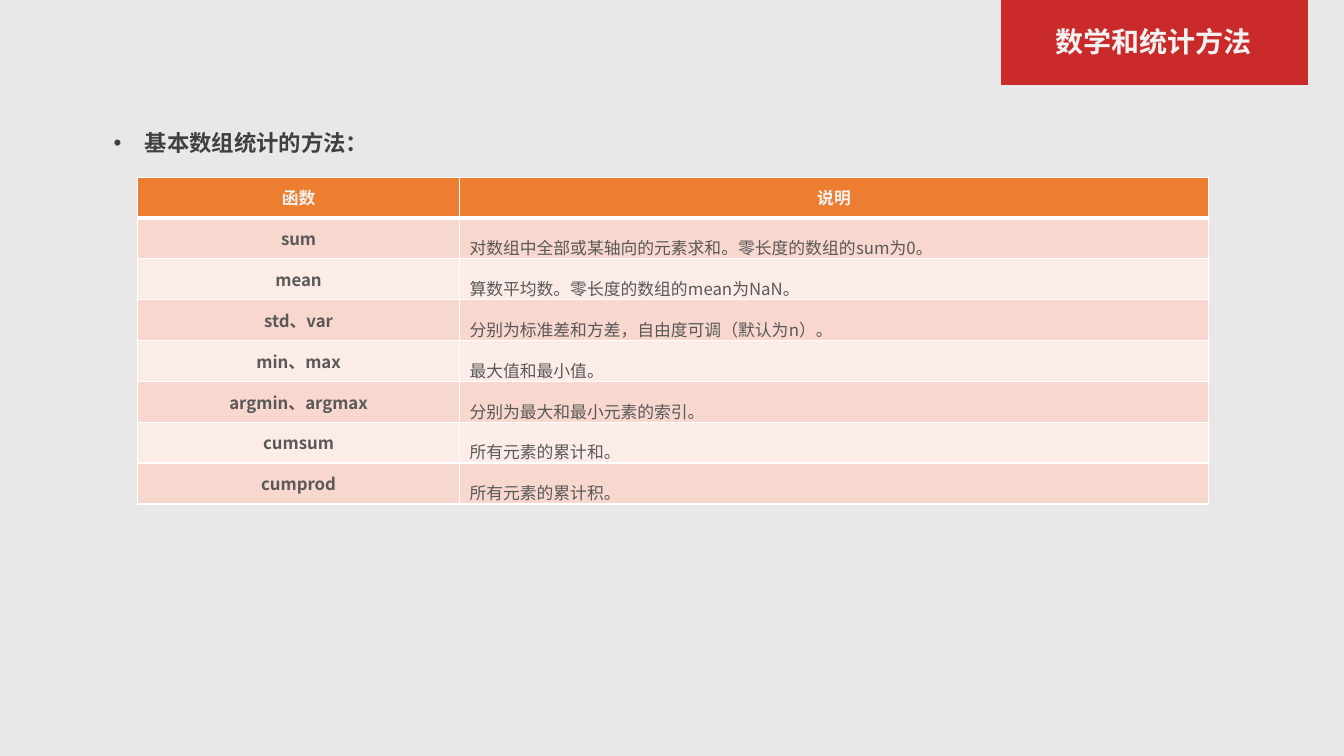
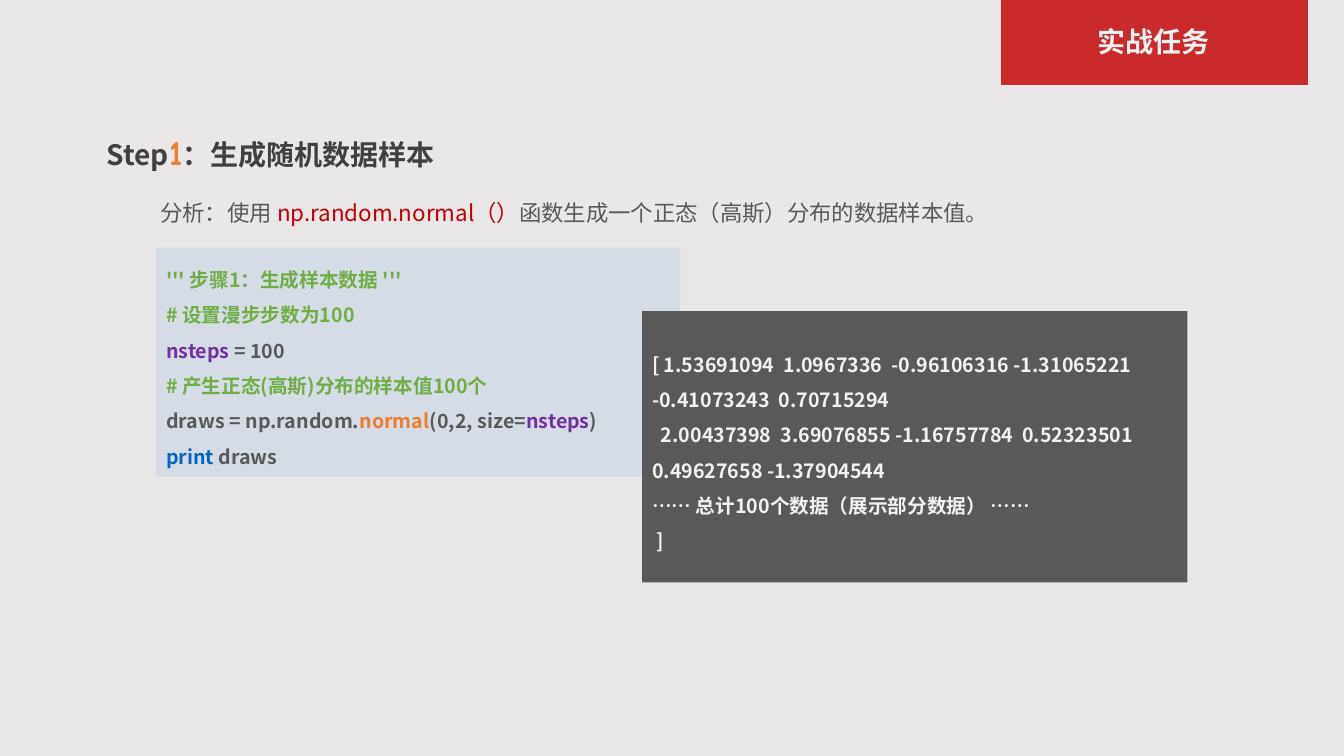
"""Build two lecture slides: array statistics methods and a practice task."""
from dataclasses import dataclass

from lxml import etree
from pptx import Presentation
from pptx import util as u
from pptx.dml.color import RGBColor
from pptx.enum import shapes, text
from pptx.oxml.ns import qn


@dataclass(frozen=True)
class Theme:
    bg: str = "E9E7E7"
    band: str = "CA2A2A"
    light: str = "F2F2F2"
    dark: str = "404040"
    body: str = "595959"
    accent: str = "ED7D31"
    alert: str = "C00000"
    comment: str = "70AD47"
    variable: str = "7030A0"
    keyword: str = "0563C1"
    code_bg: str = "D6DCE5"
    border: str = "FFFFFF"
    stripes: tuple = ("F8D7CE", "FCECE8")
    font: str = "Noto Sans CJK SC"
    digit_font: str = "Comic Neue"
    title: int = 20
    digit: int = 25
    lead: int = 16
    code: int = 14
    cell: int = 12


T = Theme()
COLS, ROWS = 32, 18


def add_run(p, content, size=T.code, color=T.body, bold=False, font=T.font):
    r = p.add_run()
    r.text = content
    f = r.font
    f.size, f.bold, f.name = u.Pt(size), bold, font
    f.color.rgb = RGBColor.from_string(color)
    etree.SubElement(r._r.get_or_add_rPr(), qn("a:ea"), typeface=font)


def paint(fill, color):
    fill.solid()
    fill.fore_color.rgb = RGBColor.from_string(color)


def add_border(cell, top, bottom):
    tcPr = cell._tc.get_or_add_tcPr()
    for side, width in (("L", 1), ("R", 1), ("T", top), ("B", bottom)):
        ln = etree.SubElement(tcPr, qn(f"a:ln{side}"), w=str(u.Pt(width)))
        solid = etree.SubElement(ln, qn("a:solidFill"))
        etree.SubElement(solid, qn("a:srgbClr"), val=T.border)


class Deck:
    def __init__(self):
        self.prs = Presentation()
        self.prs.slide_width, self.prs.slide_height = u.Inches(13.33), u.Inches(7.5)
        paint(self.prs.slide_master.background.fill, T.bg)
        self.s = None

    def x(self, cols):
        return round(self.prs.slide_width * cols / COLS)

    def y(self, rows):
        return round(self.prs.slide_height * rows / ROWS)

    def place(self, left, top, width, height):
        return self.x(left), self.y(top), self.x(width), self.y(height)

    def slide(self, title):
        self.s = self.prs.slides.add_slide(self.prs.slide_layouts[6])
        self.box((23.84, 0, 7.3, 2.02), T.band)
        self.label((23.86, 0.55, 7.2, 1.01), [(title, {"color": T.light})],
                   spacing=0.9, before=10, align=text.PP_ALIGN.CENTER,
                   size=T.title, bold=True)

    def set_lines(self, tf, lines, spacing=1.5, before=0, align=text.PP_ALIGN.LEFT, **style):
        tf.word_wrap = True
        for i, line in enumerate(lines):
            p = tf.add_paragraph() if i else tf.paragraphs[0]
            p.alignment, p.line_spacing = align, spacing
            p.space_before = u.Pt(before)
            for content, extra in line:
                add_run(p, content, **{**style, **extra})

    def label(self, at, runs, bullet=False, **style):
        tf = self.s.shapes.add_textbox(*self.place(*at)).text_frame
        self.set_lines(tf, [runs], **style)
        if bullet:
            pPr = tf.paragraphs[0]._p.get_or_add_pPr()
            indent = u.Inches(0.31)
            pPr.set("marL", str(indent))
            pPr.set("indent", str(-indent))
            etree.SubElement(pPr, qn("a:buFont"), typeface="Arial")
            etree.SubElement(pPr, qn("a:buChar"), char="•")

    def box(self, at, fill, lines=(), **style):
        sp = self.s.shapes.add_shape(shapes.MSO_SHAPE.RECTANGLE, *self.place(*at))
        sp.shadow.inherit = False
        paint(sp.fill, fill)
        sp.line.fill.background()
        sp.text_frame.vertical_anchor = text.MSO_ANCHOR.MIDDLE
        self.set_lines(sp.text_frame, lines, **style)

    def table(self, at, widths, rows):
        tbl = self.s.shapes.add_table(len(rows), len(widths), *self.place(*at)).table
        for column, width in zip(tbl.columns, widths):
            column.width = self.x(width)
        for i, row in enumerate(rows):
            tbl.rows[i].height = self.y(at[3] / len(rows))
            for j, content in enumerate(row):
                cell = tbl.cell(i, j)
                header, centred = i == 0, i == 0 or j == 0
                add_border(cell, 3 if i == 1 else 1, 3 if header else 1)
                paint(cell.fill, T.accent if header else T.stripes[(i - 1) % 2])
                cell.vertical_anchor = text.MSO_ANCHOR.MIDDLE
                align = text.PP_ALIGN.CENTER if centred else text.PP_ALIGN.LEFT
                self.set_lines(cell.text_frame, [[(content, {})]],
                               spacing=1 if centred else 1.5, align=align, size=T.cell,
                               bold=centred, color=T.light if header else T.body)


def methods_slide(d):
    d.slide("数学和统计方法")
    d.label((2.47, 2.64, 25.8, 1.1), [("基本数组统计的方法：", {})], bullet=True,
            size=T.lead, color=T.dark, bold=True)
    d.table((3.28, 4.22, 25.5, 7.78), (7.66, 17.84), [
        ("函数", "说明"),
        ("sum", "对数组中全部或某轴向的元素求和。零长度的数组的sum为0。"),
        ("mean", "算数平均数。零长度的数组的mean为NaN。"),
        ("std、var", "分别为标准差和方差，自由度可调（默认为n）。"),
        ("min、max", "最大值和最小值。"),
        ("argmin、argmax", "分别为最大和最小元素的索引。"),
        ("cumsum", "所有元素的累计和。"),
        ("cumprod", "所有元素的累计积。"),
    ])


def task_slide(d):
    comment, variable = {"color": T.comment}, {"color": T.variable}
    d.slide("实战任务")
    d.label((2.3, 3, 27.82, 1.25), [
        ("Step", {}),
        ("1", {"size": T.digit, "color": T.accent, "font": T.digit_font}),
        ("：生成随机数据样本", {}),
    ], spacing=1, size=T.title, color=T.dark, bold=True)
    d.label((3.58, 4.3, 27.46, 1.1), [
        ("分析：使用 ", {}),
        ("np.random.normal（）", {"color": T.alert}),
        ("函数生成一个正态（高斯）分布的数据样本值。", {}),
    ], size=T.lead)
    d.box((3.72, 5.9, 12.48, 5.45), T.code_bg, [
        [("''' 步骤1：生成样本数据 '''", comment)],
        [("# 设置漫步步数为100", comment)],
        [("nsteps", variable), (" = 100", {})],
        [("# 产生正态(高斯)分布的样本值100个", comment)],
        [("draws = np.random.", {}), ("normal", {"color": T.accent}),
         ("(0,2, size=", {}), ("nsteps", variable), (")", {})],
        [("print", {"color": T.keyword}), (" draws", {})],
    ], bold=True)
    output = (
        "[ 1.53691094  1.0967336  -0.96106316 -1.31065221 -0.41073243  0.70715294",
        "  2.00437398  3.69076855 -1.16757784  0.52323501  0.49627658 -1.37904544",
        "…… 总计100个数据（展示部分数据） ……",
        " ]",
    )
    d.box((15.29, 7.41, 12.98, 6.46), T.body, [[(line, {})] for line in output],
          color=T.light, bold=True)


def main():
    d = Deck()
    methods_slide(d)
    task_slide(d)
    d.prs.save("out.pptx")


if __name__ == "__main__":
    main()
